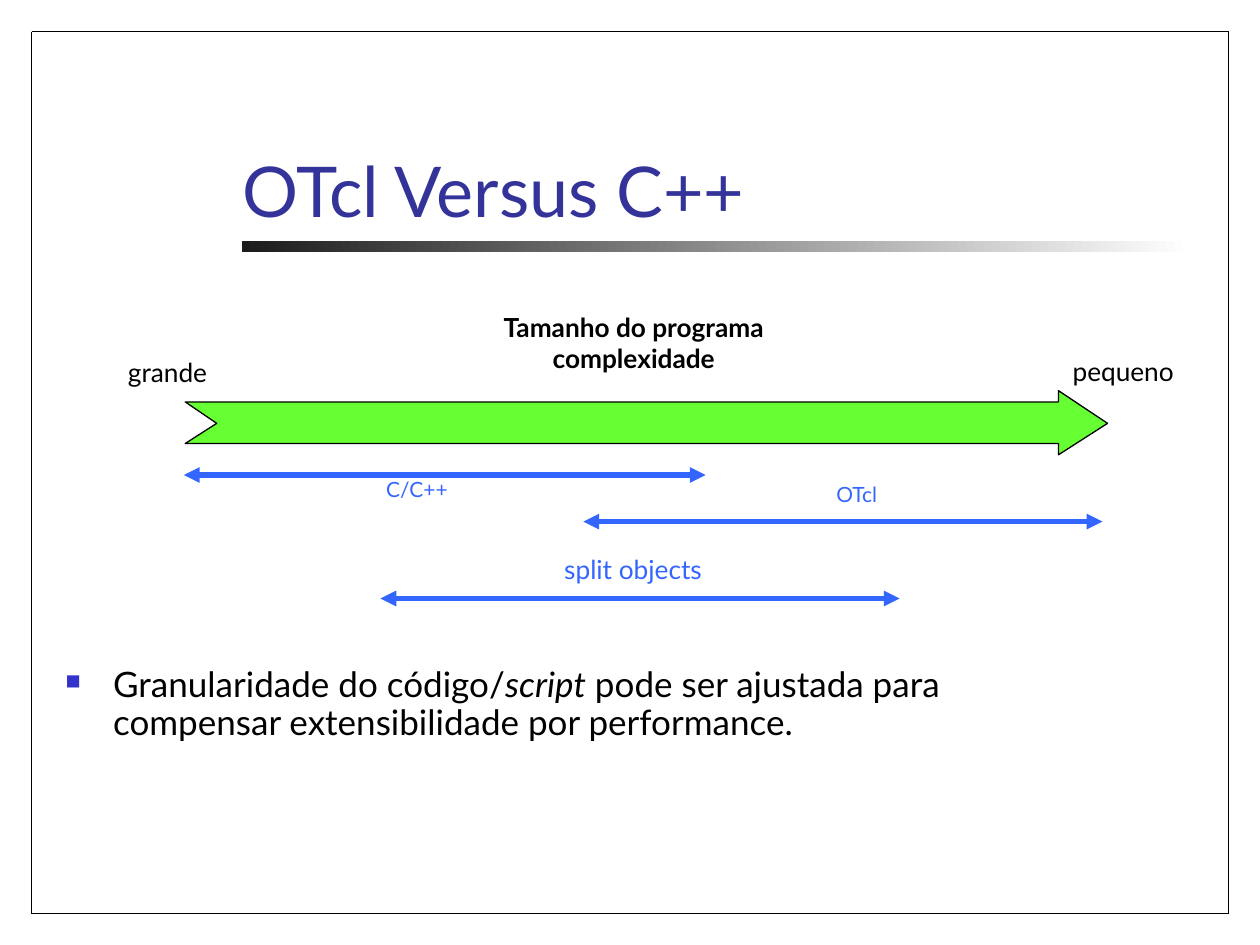
import pptx
import pptx.util
import pptx.dml.color
import pptx.enum.shapes
import pptx.enum.text
import pptx.oxml.ns
import lxml.etree

Inches, Pt = pptx.util.Inches, pptx.util.Pt
ALIGN = pptx.enum.text.PP_ALIGN
ANCHOR = pptx.enum.text.MSO_ANCHOR
SHAPE = pptx.enum.shapes.MSO_SHAPE

# Content
WIDTH, HEIGHT, MARGIN = 10, 7.5, 0.25
FONT = "Lato"
COLORS = {"title": "333399", "text": "000000", "range": "3366FF", "scale": "66FF33",
          "bullet": "3333CC", "rule_dark": "1C1C1C", "rule_light": "FFFFFF"}
TITLE = "OTcl Versus C++"
STATEMENT = [("Granularidade do código/", False), ("script", True),
             (" pode ser ajustada para compensar extensibilidade por performance.", False)]
# Label: lines, box, size, colour, bold, wrap
LABELS = [
    (["Tamanho do programa", "complexidade"], (3.74, 2.42, 2.58, 0.6), 15, "text", True, False),
    (["C/C++"], (2.51, 3.73, 1.6, 0.3), 12, "range", False, True),
    (["OTcl"], (6.53, 3.77, 0.54, 0.3), 12, "range", False, False),
    (["grande"], (0.88, 2.78, 0.9, 0.35), 15, "text", False, False),
    (["pequeno"], (8.38, 2.77, 1.07, 0.35), 15, "text", False, False),
    (["split objects"], (3.81, 4.34, 2.43, 0.35), 15, "range", False, True),
]
# Range: start, end, height on the slide
RANGES = [(4.63, 8.75, 4.14), (1.46, 5.6, 3.77), (3.02, 7.14, 4.75)]
SCALE_ARROW = [(1.47, 3.19), (8.4, 3.19), (8.4, 3.1), (8.79, 3.36),
               (8.4, 3.61), (8.4, 3.52), (1.47, 3.52), (1.72, 3.36)]

deck = pptx.Presentation()
deck.slide_width, deck.slide_height = Inches(WIDTH), Inches(HEIGHT)
slide = deck.slides.add_slide(deck.slide_layouts[6])


def rgb(name):
    return pptx.dml.color.RGBColor.from_string(COLORS[name])


def add_child(parent, tag, **attributes):
    return lxml.etree.SubElement(parent, pptx.oxml.ns.qn(tag), attributes)


def add_line(start, end, color, weight, arrows=False):
    line = slide.shapes.add_connector(pptx.enum.shapes.MSO_CONNECTOR.STRAIGHT,
                                      *map(Inches, start + end))
    line.line.color.rgb = rgb(color)
    line.line.width = Pt(weight)
    if arrows:
        for tag in ("a:headEnd", "a:tailEnd"):
            add_child(line.line._get_or_add_ln(), tag, type="triangle")
    add_child(line._element.spPr, "a:effectLst")


def add_frame(box, wrap=True, anchor=ANCHOR.TOP):
    frame = slide.shapes.add_textbox(*map(Inches, box)).text_frame
    frame.word_wrap = wrap
    frame.vertical_anchor = anchor
    return frame


def add_run(paragraph, text, size, color, bold=False, italic=False):
    run = paragraph.add_run()
    run.text = text
    run.font.name, run.font.size = FONT, Pt(size)
    run.font.bold, run.font.italic = bold, italic
    run.font.color.rgb = rgb(color)


# Rule under the title
rule = slide.shapes.add_shape(SHAPE.RECTANGLE, *map(Inches, (1.92, 1.91, 7.53, 0.09)))
rule.shadow.inherit = False
rule.line.fill.background()
rule.fill.gradient()
rule.fill.gradient_angle = 0
for stop, shade in zip(rule.fill.gradient_stops, ("rule_dark", "rule_light")):
    stop.color.rgb = rgb(shade)

# Page border
right, bottom = WIDTH - MARGIN, HEIGHT - MARGIN
for x in (MARGIN, right):
    add_line((x, MARGIN), (x, bottom), "text", 0.74)
for y in (bottom, MARGIN):
    add_line((MARGIN, y), (right, y), "text", 0.74)

# Title
title = add_frame((1.83, 0.64, 7.58, 1.25), anchor=ANCHOR.BOTTOM)
add_run(title.paragraphs[0], TITLE, 40, "title")

# Bulleted statement
statement = add_frame((0.42, 5.25, 8.33, 1.25)).paragraphs[0]
statement.line_spacing = 0.9
statement.space_before = Pt(5)
bullet = statement._p.get_or_add_pPr()
bullet.set("marL", str(Inches(0.38)))
bullet.set("indent", str(-Inches(0.38)))
add_child(add_child(bullet, "a:buClr"), "a:srgbClr", val=COLORS["bullet"])
add_child(bullet, "a:buSzPct", val="60000")
add_child(bullet, "a:buFont", typeface="Wingdings", charset="2")
add_child(bullet, "a:buChar", char="n")
for text, italic in STATEMENT:
    add_run(statement, text, 20, "text", italic=italic)

# Scale arrow, in whole length units since outline points are rounded
corners = [(Inches(x), Inches(y)) for x, y in SCALE_ARROW]
outline = slide.shapes.build_freeform(*corners[0])
outline.add_line_segments(corners[1:], close=True)
scale_arrow = outline.convert_to_shape()
scale_arrow.shadow.inherit = False
scale_arrow.fill.solid()
scale_arrow.fill.fore_color.rgb = rgb("scale")
scale_arrow.line.color.rgb = rgb("text")
scale_arrow.line.width = Pt(0.74)

# Language ranges
for start, end, y in RANGES:
    add_line((start, y), (end, y), "range", 3, arrows=True)

# Labels
for lines, box, size, color, bold, wrap in LABELS:
    label = add_frame(box, wrap)
    for index, text in enumerate(lines):
        paragraph = label.add_paragraph() if index else label.paragraphs[0]
        paragraph.alignment = ALIGN.CENTER
        add_run(paragraph, text, size, color, bold)

deck.save("out.pptx")
